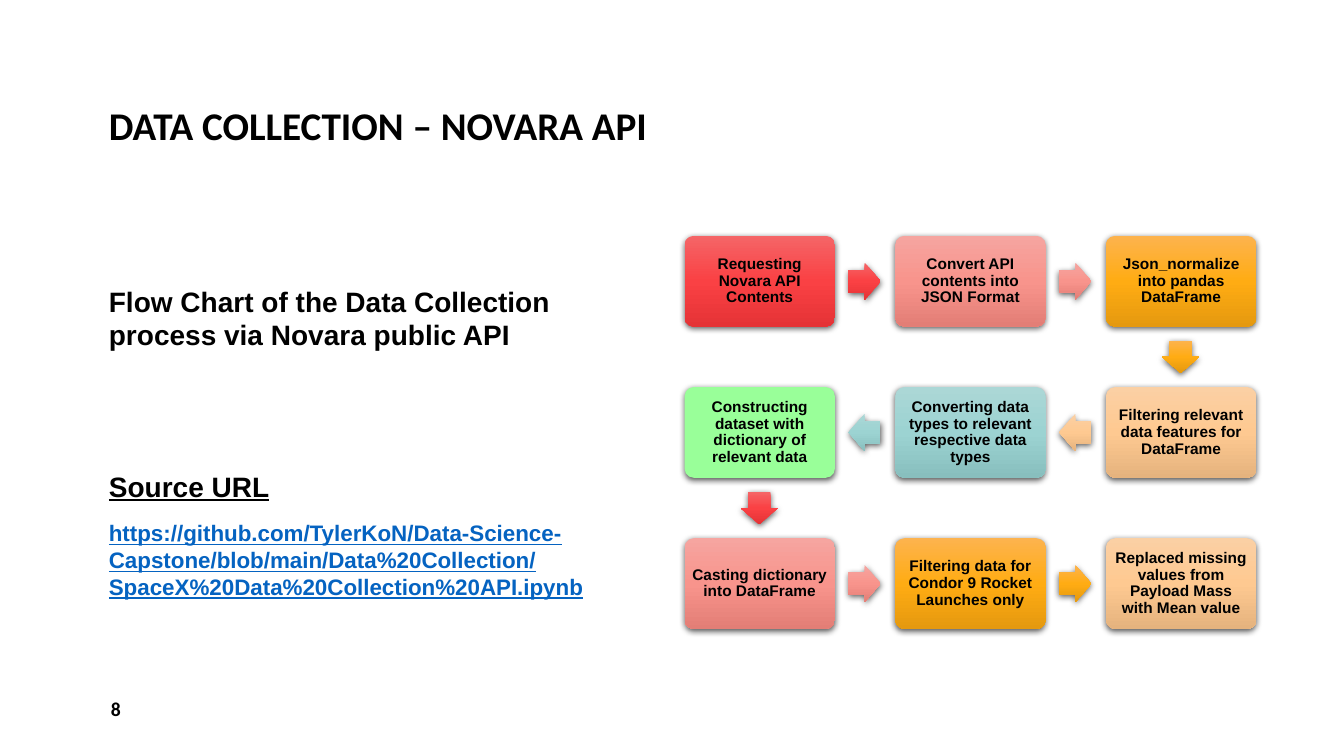
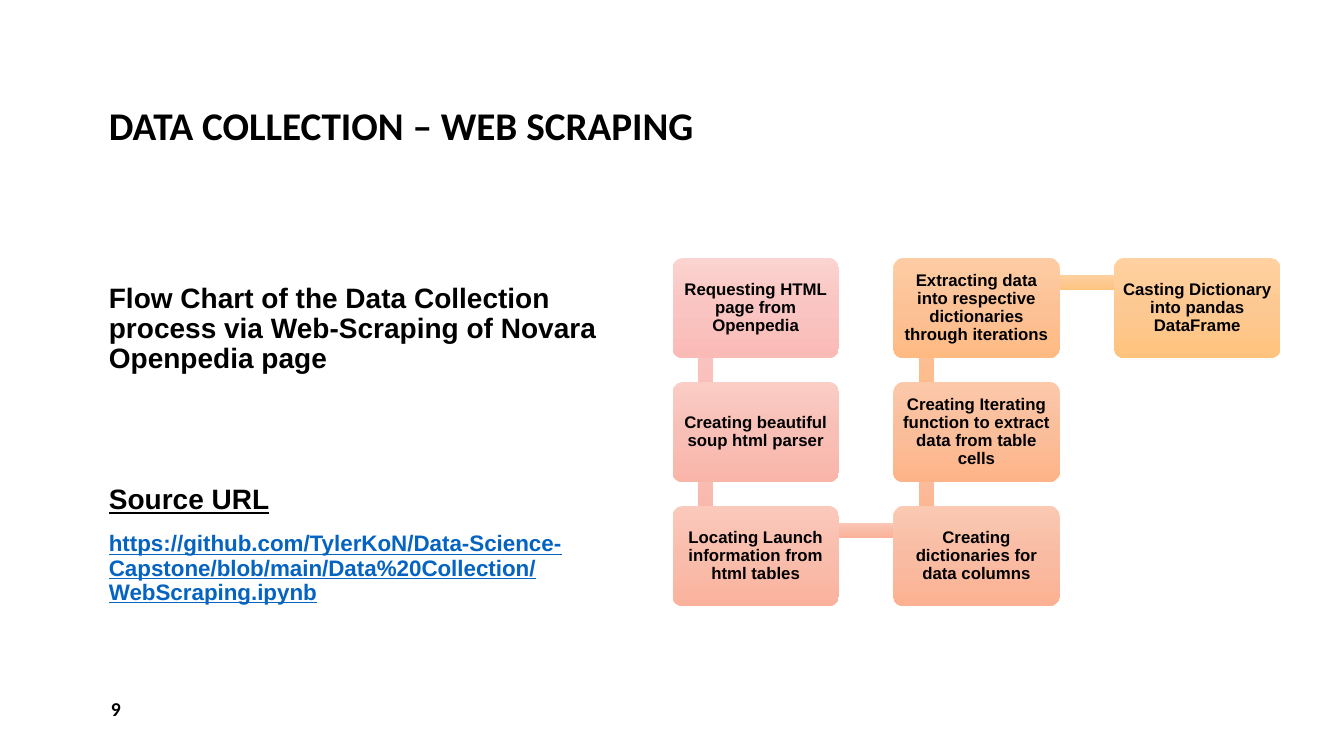
from dataclasses import dataclass

from lxml import etree
from pptx import Presentation
from pptx.dml.color import RGBColor
from pptx.enum.shapes import MSO_SHAPE
from pptx.enum.text import MSO_ANCHOR, MSO_AUTO_SIZE, PP_ALIGN
from pptx.oxml.ns import qn
from pptx.util import Inches, Pt

ROUNDED = MSO_SHAPE.ROUNDED_RECTANGLE
ARROW = MSO_SHAPE.RIGHT_ARROW
BAR = MSO_SHAPE.RECTANGLE
LEFT, CENTER = PP_ALIGN.LEFT, PP_ALIGN.CENTER
BOTTOM, MIDDLE, TOP = MSO_ANCHOR.BOTTOM, MSO_ANCHOR.MIDDLE, MSO_ANCHOR.TOP
NO_AUTOFIT = MSO_AUTO_SIZE.NONE

TEXT = "000000"
LINK = "0563C1"
RED = ("F56567", "FA4144", "E53336")
PINK = ("F6A5A0", "F8948C", "E37E76")
ORANGE = ("FDB34E", "FFAC13", "E5990F")
PEACH = ("FBD0A4", "FEC991", "E5B37E")
TEAL = ("ABD7D6", "9CD3D2", "88BFBE")
GREEN = ("99FF99",)

STEPS_PER_RUN = 3
ROTATIONS = {(1, 0): 0, (0, 1): 90, (-1, 0): 180, (0, -1): 270}


@dataclass(frozen=True)
class Step:
    text: str
    colours: tuple[str, ...]
    link_colours: tuple[str, ...] = ()


@dataclass(frozen=True)
class FlowStyle:
    origin: tuple[float, float]
    pitch: tuple[float, float]
    box_size: tuple[float, float]
    link_kind: MSO_SHAPE
    link_lengths: tuple[float, float]
    link_thickness: float
    link_offset: tuple[float, float]
    font_size: int
    by_column: bool
    shadow: bool


@dataclass(frozen=True)
class FlowSlide:
    number: int
    title: str
    summary: str
    url: str
    body_top: float
    line_spacing: float
    heading_gap: int
    style: FlowStyle
    steps: tuple[Step, ...]


ARROW_FLOW = FlowStyle((6.79, 2.34), (2.09, 1.5), (1.49, 0.9), ARROW, (0.32, 0.32), 0.37,
                       (0.74, 0.45), 11, False, True)
BAR_FLOW = FlowStyle((6.67, 2.56), (2.19, 1.23), (1.65, 0.99), BAR, (2.18, 1.22), 0.15,
                     (0.33, 0.24), 12, True, False)

SLIDES = (
    FlowSlide(
        8, "DATA COLLECTION – NOVARA API",
        "Flow Chart of the Data Collection process via Novara public API",
        "https://github.com/TylerKoN/Data-Science-Capstone/blob/main/"
        "Data%20Collection/SpaceX%20Data%20Collection%20API.ipynb",
        2.77, 1.0, 84, ARROW_FLOW,
        (
            Step("Requesting Novara API Contents", RED, RED),
            Step("Convert API contents into JSON Format", PINK, PINK),
            Step("Json_normalize into pandas DataFrame", ORANGE, ORANGE),
            Step("Filtering relevant data features for DataFrame", PEACH, PEACH),
            Step("Converting data types to relevant respective data types", TEAL, TEAL),
            Step("Constructing dataset with dictionary of relevant data", GREEN, RED),
            Step("Casting dictionary into DataFrame", PINK, PINK),
            Step("Filtering data for Condor 9 Rocket Launches only", ORANGE, ORANGE),
            Step("Replaced missing values from Payload Mass with Mean value", PEACH),
        ),
    ),
    FlowSlide(
        9, "DATA COLLECTION – WEB SCRAPING",
        "Flow Chart of the Data Collection process via Web-Scraping of Novara Openpedia page",
        "https://github.com/TylerKoN/Data-Science-Capstone/blob/main/"
        "Data%20Collection/WebScraping.ipynb",
        2.77, 0.9, 79, BAR_FLOW,
        (
            Step("Requesting HTML page from Openpedia",
                 ("FBD3D0", "F9C4C1", "FABBB6"), ("FBD3D0", "F9C4C1", "FABBB6")),
            Step("Creating beautiful soup html parser",
                 ("FACDC5", "F8BFB6", "FAB5A9"), ("FACCC3", "F8BFB4", "FAB4A7")),
            Step("Locating Launch information from html tables",
                 ("FBC9BB", "F9BDAC", "FBB29D"), ("FBC8B7", "F9BCA8", "FBB298")),
            Step("Creating dictionaries for data columns",
                 ("FBC8B2", "F9BCA3", "FCB292"), ("FCC8AD", "FABD9E", "FDB38C")),
            Step("Creating Iterating function to extract data from table cells",
                 ("FCC8AA", "FABE9B", "FEB488"), ("FDCBA5", "FBC197", "FFB983")),
            Step("Extracting data into respective dictionaries through iterations",
                 ("FDCCA4", "FCC296", "FFBA82"), ("FFD1A0", "FDC992", "FFC37E")),
            Step("Casting Dictionary into pandas DataFrame",
                 ("FFD1A0", "FDC992", "FFC37E")),
        ),
    ),
)


def rgb(colour: str) -> RGBColor:
    return RGBColor.from_string(colour)


def place(shape, left: float, top: float, width: float, height: float) -> None:
    shape.left, shape.top = Inches(left), Inches(top)
    shape.width, shape.height = Inches(width), Inches(height)


def format_paragraph(paragraph, size: int, font: str = "Arial", colour: str = TEXT,
                     align: PP_ALIGN = LEFT, underline: bool = False) -> None:
    paragraph.alignment = align
    paragraph.font.name = font
    paragraph.font.size = Pt(size)
    paragraph.font.bold = True
    paragraph.font.underline = underline
    paragraph.font.color.rgb = rgb(colour)


def prepare_frame(shape, anchor: MSO_ANCHOR):
    frame = shape.text_frame
    frame.word_wrap = True
    frame.auto_size = NO_AUTOFIT
    frame.vertical_anchor = anchor
    return frame


def paint(shape, colours: tuple[str, ...]) -> None:
    shape.line.fill.background()
    if len(colours) == 1:
        shape.fill.solid()
        shape.fill.fore_color.rgb = rgb(colours[0])
        return
    shape.fill.gradient()
    shape.fill.gradient_angle = 270
    gradient = shape.element.spPr.find(qn("a:gradFill"))
    gradient.set("rotWithShape", "0")
    stops = gradient.find(qn("a:gsLst"))
    for stop in list(stops):
        stops.remove(stop)
    for index, colour in enumerate(colours):
        position = 100000 * index // (len(colours) - 1)
        stop = etree.SubElement(stops, qn("a:gs"), pos=str(position))
        etree.SubElement(stop, qn("a:srgbClr"), val=colour)


def add_shadow(shape) -> None:
    effects = shape.element.spPr.find(qn("a:effectLst"))
    shadow = etree.SubElement(effects, qn("a:outerShdw"), blurRad=str(Pt(4.5)),
                              dist=str(Pt(1.5)), dir="5400000", algn="ctr", rotWithShape="0")
    colour = etree.SubElement(shadow, qn("a:srgbClr"), val="000000")
    etree.SubElement(colour, qn("a:alpha"), val="63000")


def add_flow_shape(slide, kind: MSO_SHAPE, left: float, top: float,
                   size: tuple[float, float], colours: tuple[str, ...], shadow: bool):
    shape = slide.shapes.add_shape(kind, Inches(left), Inches(top),
                                   Inches(size[0]), Inches(size[1]))
    shape.shadow.inherit = False
    paint(shape, colours)
    if shadow:
        add_shadow(shape)
    return shape


def find_cell(index: int, by_column: bool) -> tuple[int, int]:
    run, place_in_run = divmod(index, STEPS_PER_RUN)
    if run % 2:
        place_in_run = STEPS_PER_RUN - 1 - place_in_run
    return (run, place_in_run) if by_column else (place_in_run, run)


def find_corner(cell: tuple[float, float], style: FlowStyle) -> tuple[float, float]:
    return (style.origin[0] + cell[0] * style.pitch[0],
            style.origin[1] + cell[1] * style.pitch[1])


def add_link(slide, style: FlowStyle, start: tuple[int, int], end: tuple[int, int],
             colours: tuple[str, ...]) -> None:
    direction = (end[0] - start[0], end[1] - start[1])
    length = style.link_lengths[abs(direction[1])]
    left, top = find_corner(((start[0] + end[0]) / 2, (start[1] + end[1]) / 2), style)
    left += style.link_offset[0] - length / 2
    top += style.link_offset[1] - style.link_thickness / 2
    link = add_flow_shape(slide, style.link_kind, left, top, (length, style.link_thickness),
                          colours, style.shadow)
    link.rotation = ROTATIONS[direction]
    if style.link_kind == ARROW:
        link.adjustments[0] = 0.6
        link.adjustments[1] = 0.5


def add_box(slide, style: FlowStyle, cell: tuple[int, int], step: Step) -> None:
    left, top = find_corner(cell, style)
    box = add_flow_shape(slide, ROUNDED, left, top, style.box_size, step.colours, style.shadow)
    box.adjustments[0] = 0.1
    frame = prepare_frame(box, MIDDLE)
    frame.margin_left = frame.margin_right = Inches(0.05)
    frame.margin_top = frame.margin_bottom = Inches(0.05)
    paragraph = frame.paragraphs[0]
    paragraph.text = step.text
    paragraph.line_spacing = 0.9
    format_paragraph(paragraph, style.font_size, align=CENTER)


def add_flow(slide, style: FlowStyle, steps: tuple[Step, ...]) -> None:
    cells = [find_cell(index, style.by_column) for index in range(len(steps))]
    for step, start, end in zip(steps, cells, cells[1:]):
        add_link(slide, style, start, end, step.link_colours)
    for step, cell in zip(steps, cells):
        add_box(slide, style, cell, step)


def add_title(slide, text: str) -> None:
    title = slide.shapes.title
    place(title, 0.98, 0.08, 11.38, 1.45)
    paragraph = prepare_frame(title, BOTTOM).paragraphs[0]
    paragraph.text = text
    paragraph.line_spacing = 0.9
    format_paragraph(paragraph, 28, "Calibri")


def add_body(slide, content: FlowSlide) -> None:
    body = slide.placeholders[1]
    place(body, 0.98, content.body_top, 5.33, 6.3 - content.body_top)
    frame = prepare_frame(body, TOP)
    entries = (
        (content.summary, 20, TEXT, False, 0),
        ("Source URL", 20, TEXT, True, content.heading_gap),
        (content.url, 16, LINK, True, 12),
    )
    for index, (text, size, colour, underline, gap) in enumerate(entries):
        paragraph = frame.add_paragraph() if index else frame.paragraphs[0]
        paragraph.text = text
        properties = paragraph._p.get_or_add_pPr()
        properties.set("marL", "0")
        properties.set("indent", "0")
        etree.SubElement(properties, qn("a:buNone"))
        paragraph.line_spacing = content.line_spacing
        paragraph.space_before = Pt(gap)
        paragraph.space_after = Pt(0)
        format_paragraph(paragraph, size, colour=colour, underline=underline)


def add_number(slide, number: int) -> None:
    box = slide.shapes.add_textbox(Inches(1), Inches(6.83), Inches(2.92), Inches(0.4))
    paragraph = prepare_frame(box, MIDDLE).paragraphs[0]
    paragraph.text = str(number)
    format_paragraph(paragraph, 14, "Calibri")


def main() -> None:
    presentation = Presentation()
    presentation.slide_width = Inches(13.33)
    presentation.slide_height = Inches(7.5)
    for content in SLIDES:
        slide = presentation.slides.add_slide(presentation.slide_layouts[1])
        add_title(slide, content.title)
        add_body(slide, content)
        add_number(slide, content.number)
        add_flow(slide, content.style, content.steps)
    presentation.save("out.pptx")


if __name__ == "__main__":
    main()
